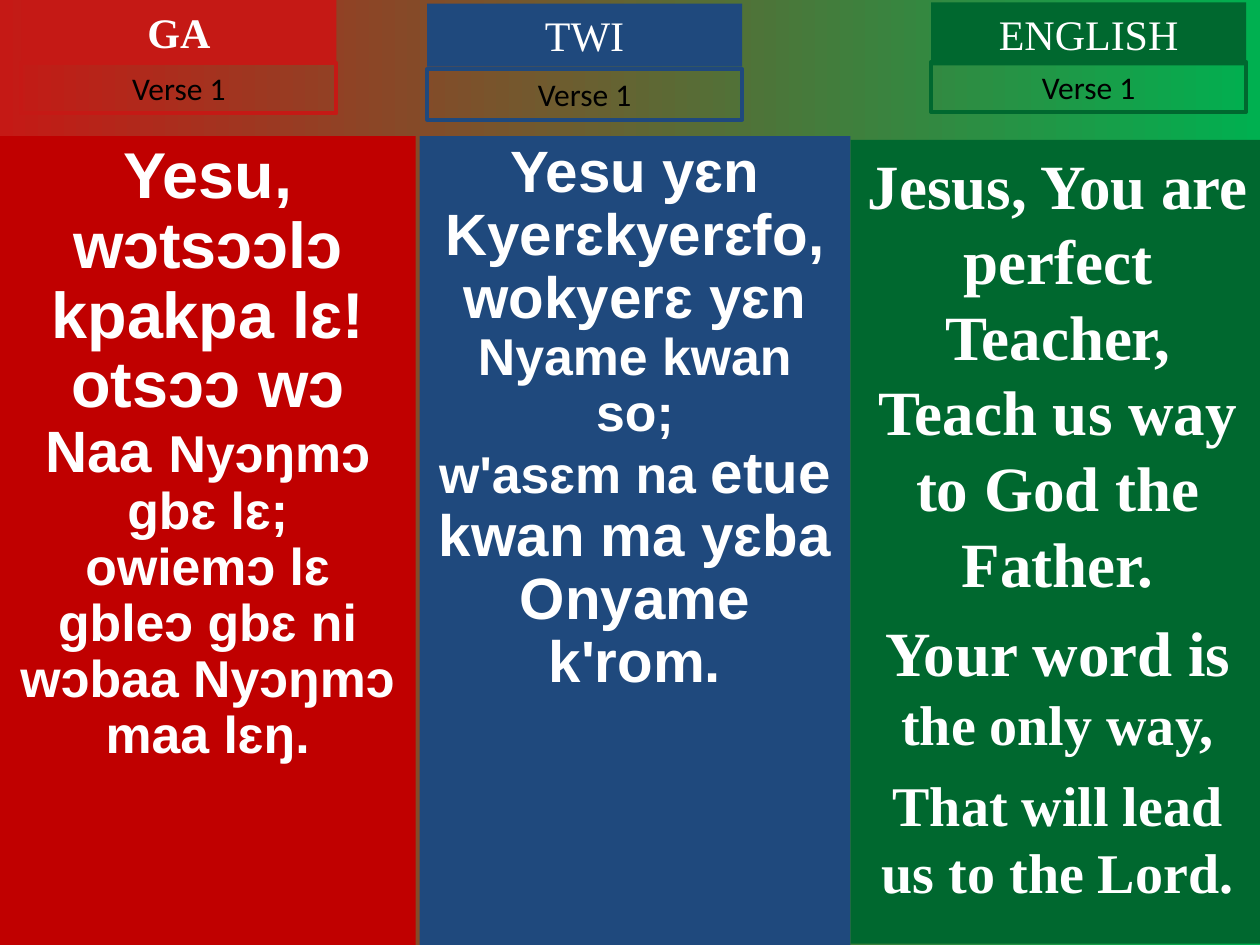
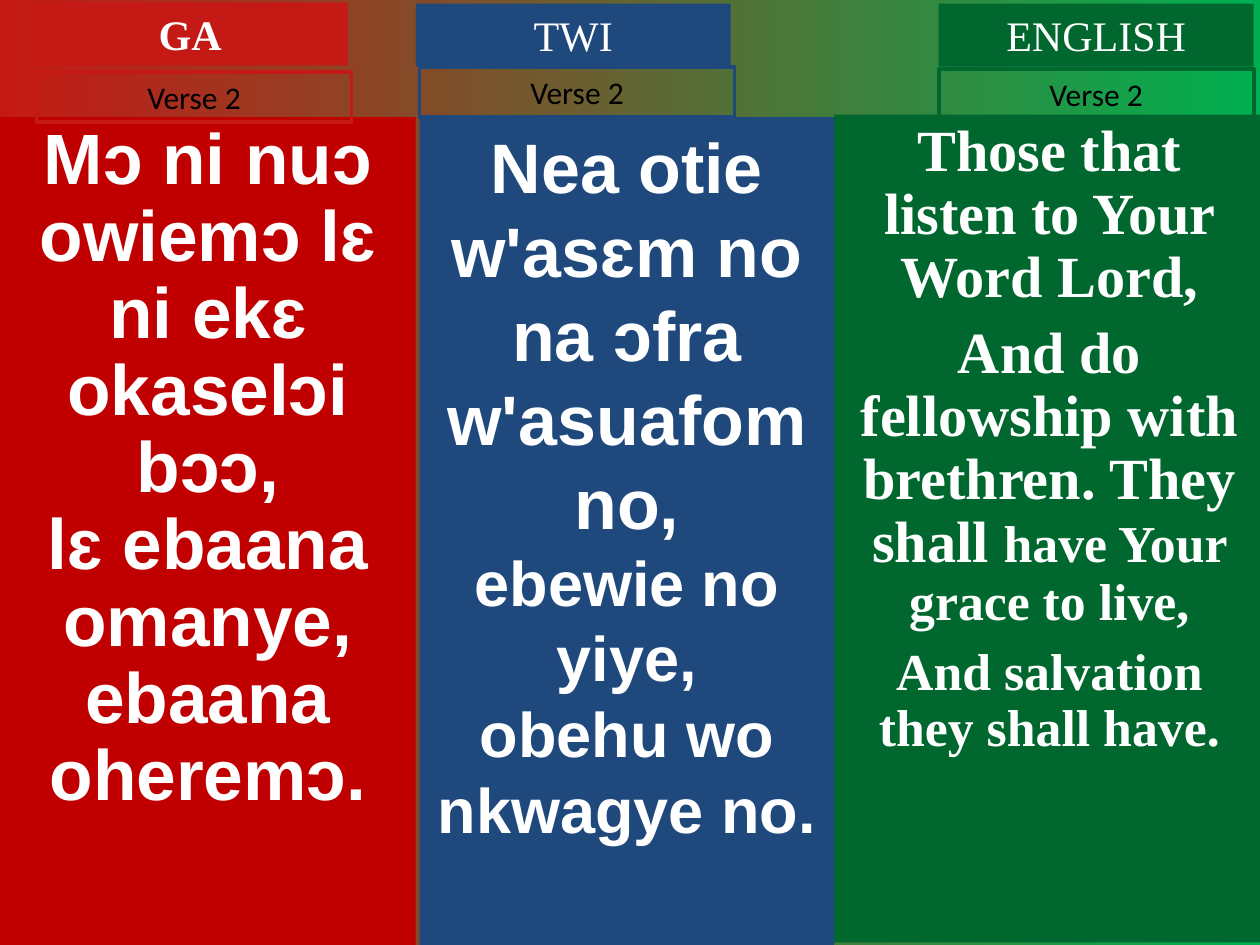
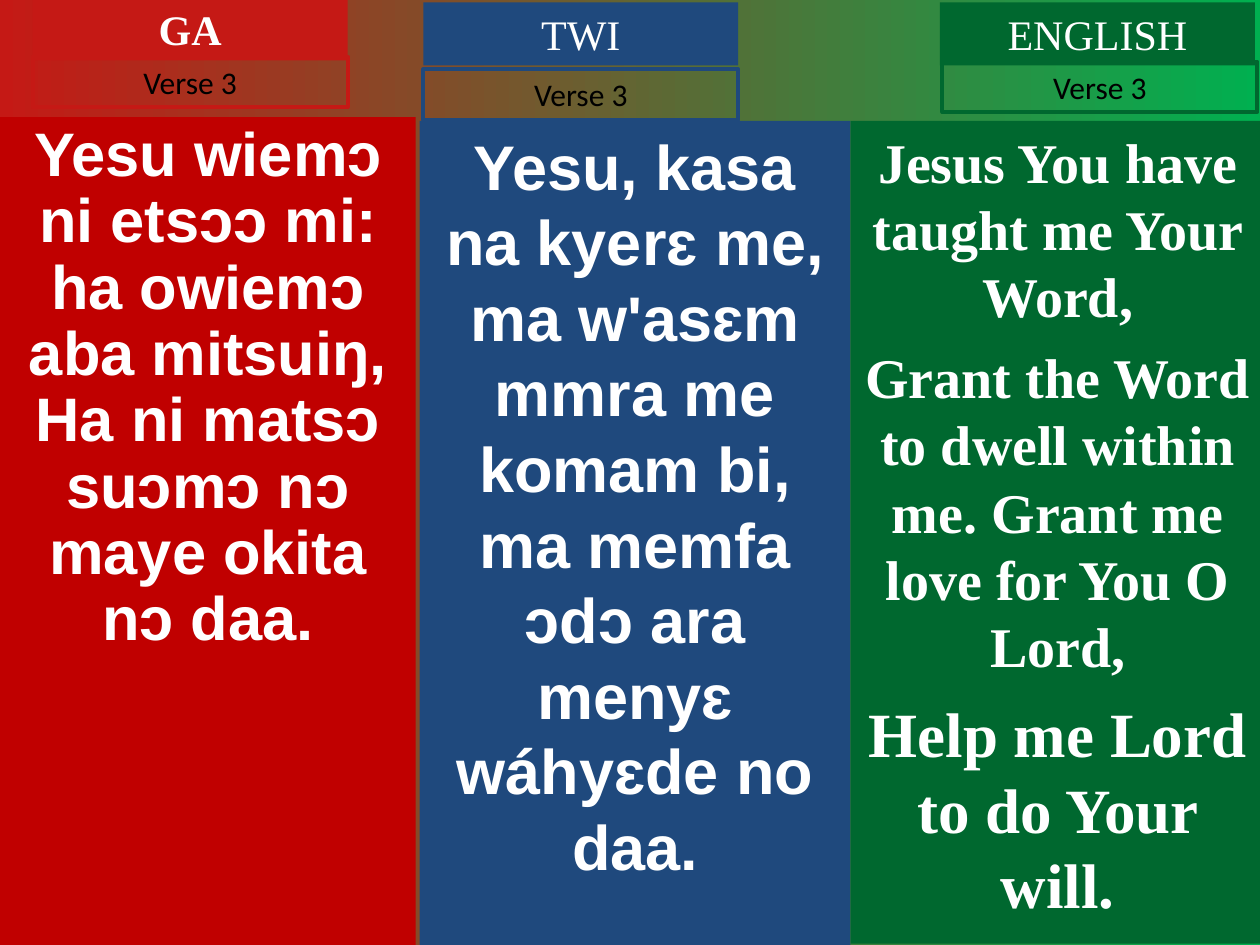
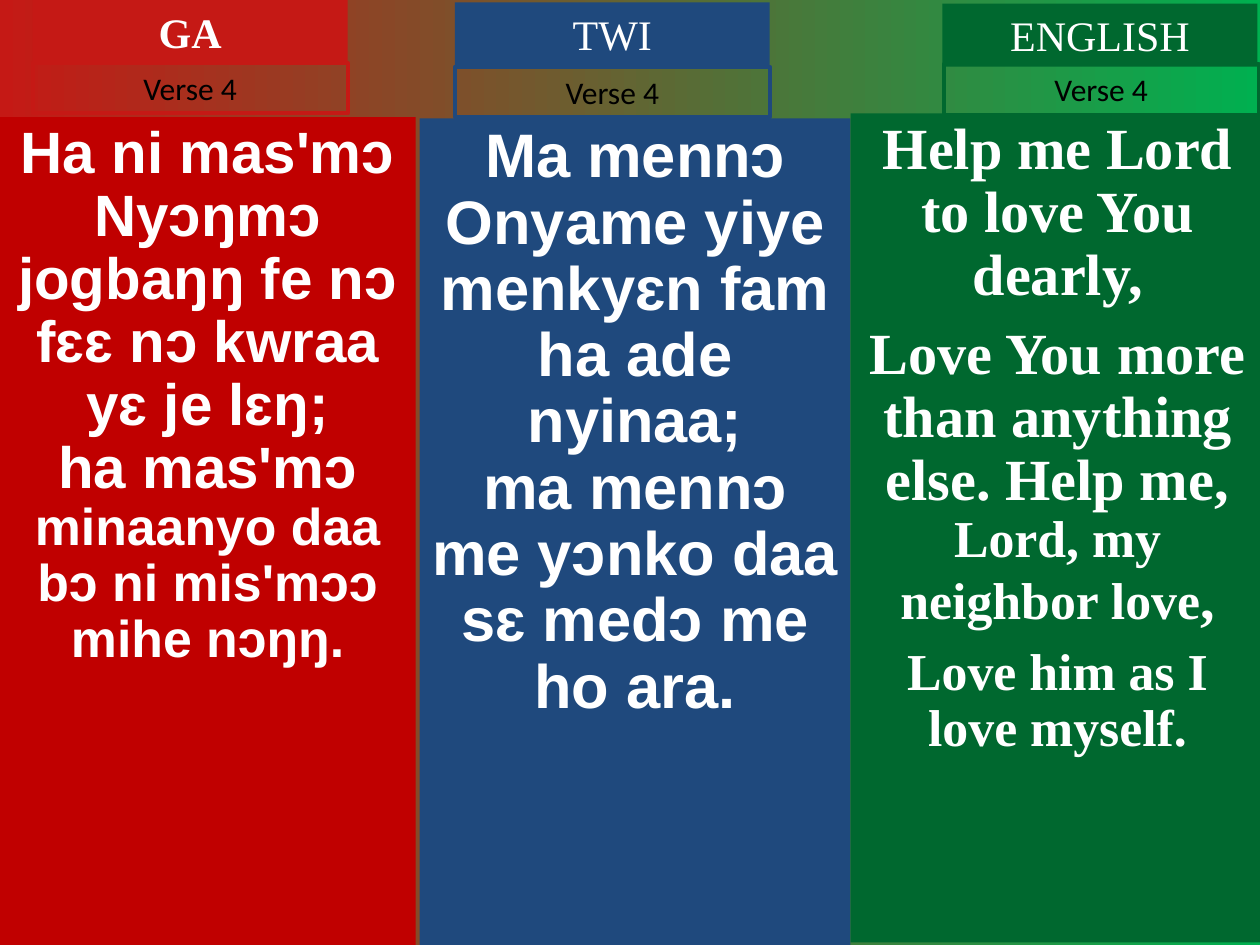
from pptx import Presentation
from pptx.dml.color import RGBColor
from pptx.enum.shapes import MSO_SHAPE
from pptx.enum.text import MSO_ANCHOR, MSO_AUTO_SIZE, PP_ALIGN
from pptx.util import Inches, Pt

RED = RGBColor(0xC5, 0x19, 0x15)
DARK_RED = RGBColor(0xC0, 0x00, 0x00)
BLUE = RGBColor(0x1F, 0x49, 0x7D)
GREEN = RGBColor(0x00, 0x68, 0x2F)
BRIGHT_GREEN = RGBColor(0x00, 0xB0, 0x50)
WHITE = RGBColor(0xFF, 0xFF, 0xFF)
BLACK = RGBColor(0x00, 0x00, 0x00)

HEADER_WIDTH, HEADER_HEIGHT, LABEL_HEIGHT = 2.5, 0.5, 0.4

# Language name, header colour, panel colour, lyric font, bold header
LANGUAGES = [
    ("GA", RED, DARK_RED, "Arial", True),
    ("TWI", BLUE, BLUE, "Arial", False),
    ("ENGLISH", GREEN, GREEN, "Times New Roman", False),
]

# One verse per slide, one entry per language:
# panel (left, top, width, height), header (left, top), label (left, top),
# line spacing, paragraphs as (space before, [(text, size), ...])
VERSES = [
    [
        ((0, 1.08, 3.3, 6.42), (0.17, 0), (0.17, 0.5), 0.9, [
            (0, [("Yesu, wɔtsɔɔlɔ kpakpa lɛ! otsɔɔ wɔ ", 37), ("Naa ", 33.3),
                 ("Nyɔŋmɔ gbɛ lɛ;", 29.6)]),
            (0, [("owiemɔ lɛ gbleɔ gbɛ ni wɔbaa Nyɔŋmɔ maa lɛŋ.", 29.6)]),
        ]),
        ((3.33, 1.08, 3.42, 6.42), (3.39, 0.03), (3.39, 0.55), 0.9, [
            (0, [("Yesu yɛn Kyerɛkyerɛfo,", 33.3)]),
            (0, [("wokyerɛ yɛn ", 33.3), ("Nyame kwan so;", 29.6)]),
            (0, [("w'asɛm na ", 29.6), ("etue kwan ma yɛba Onyame k'rom.", 33.3)]),
        ]),
        ((6.75, 1.11, 3.29, 6.38), (7.39, 0.02), (7.39, 0.49), 1.0, [
            (0, [("Jesus, You are perfect Teacher, Teach us way to God the Father.", 36)]),
            (8, [("Your word is ", 36), ("the only way,", 32)]),
            (8, [("That will lead us to the Lord.", 32)]),
        ]),
    ],
    [
        ((0, 0.93, 3.3, 6.57), (0.26, 0.02), (0.29, 0.57), 0.9, [
            (0, [("Mɔ ni nuɔ owiemɔ lɛ ni ekɛ okaselɔi bɔɔ,", 40.7)]),
            (0, [("lɛ ebaana omanye, ebaana oheremɔ.", 40.7)]),
        ]),
        ((3.33, 0.93, 3.29, 6.57), (3.3, 0.03), (3.33, 0.53), 1.0, [
            (0, [("Nea otie w'asɛm no na ɔfra w'asuafom no,", 40)]),
            (0, [("ebewie no yiye,", 36)]),
            (0, [("obehu wo nkwagye no.", 36)]),
        ]),
        ((6.62, 0.91, 3.42, 6.57), (7.45, 0.03), (7.45, 0.55), 0.9, [
            (0, [("Those that listen to Your Word Lord,", 33.3)]),
            (8, [("And do fellowship with brethren. They shall ", 33.3),
                 ("have Your grace to live,", 29.6)]),
            (8, [("And salvation they shall have.", 29.6)]),
        ]),
    ],
    [
        ((0, 0.93, 3.3, 6.57), (0.26, -0.02), (0.26, 0.45), 0.9, [
            (0, [("Yesu wiemɔ ni etsɔɔ mi: ha owiemɔ aba mitsuiŋ,", 35.1)]),
            (0, [("Ha ni matsɔ suɔmɔ nɔ maye okita nɔ daa.", 35.1)]),
        ]),
        ((3.33, 0.96, 3.42, 6.54), (3.36, 0.02), (3.36, 0.55), 1.0, [
            (0, [("Yesu, kasa na kyerɛ me,", 36)]),
            (0, [("ma w'asɛm mmra me komam bi,", 36)]),
            (0, [("ma memfa ɔdɔ ara menyɛ wáhyɛde no daa.", 36)]),
        ]),
        ((6.75, 0.96, 3.29, 6.53), (7.46, 0.02), (7.48, 0.49), 1.0, [
            (0, [("Jesus You have taught me Your Word,", 32)]),
            (8, [("Grant the Word to dwell within me. Grant me love for You O Lord,", 32)]),
            (9, [("Help me Lord to do Your will.", 36)]),
        ]),
    ],
    [
        ((0, 0.93, 3.3, 6.57), (0.26, 0), (0.26, 0.5), 0.9, [
            (0, [("Ha ni mas'mɔ Nyɔŋmɔ jogbaŋŋ fe nɔ fɛɛ nɔ kwraa yɛ je lɛŋ;", 33.3)]),
            (0, [("ha mas'mɔ ", 33.3), ("minaanyo daa bɔ ni mis'mɔɔ mihe nɔŋŋ.", 29.6)]),
        ]),
        ((3.33, 0.94, 3.42, 6.56), (3.61, 0.02), (3.61, 0.53), 0.9, [
            (0, [("Ma mennɔ Onyame yiye menkyɛn fam ha ade nyinaa;", 35.1)]),
            (0, [("ma mennɔ me yɔnko daa sɛ medɔ me ho ara.", 35.1)]),
        ]),
        ((6.75, 0.9, 3.29, 6.58), (7.48, 0.03), (7.49, 0.51), 0.9, [
            (0, [("Help me Lord to love You dearly,", 33.3)]),
            (9, [("Love You more than anything else. Help me, ", 33.3),
                 ("Lord, my neighbor love", 29.6), (",", 33.3)]),
            (8, [("Love him as I love myself.", 29.6)]),
        ]),
    ],
]


def add_box(page, place, fill=None, line=None, grow=True):
    """Add a plain rectangle with top-anchored, wrapping text."""
    box = page.shapes.add_shape(MSO_SHAPE.RECTANGLE, *map(Inches, place))
    box.shadow.inherit = False
    if fill is None:
        box.fill.background()
    else:
        box.fill.solid()
        box.fill.fore_color.rgb = fill
    if line is None:
        box.line.fill.background()
    else:
        box.line.color.rgb = line
        box.line.width = Pt(2.25)
    frame = box.text_frame
    frame.word_wrap = True
    frame.vertical_anchor = MSO_ANCHOR.TOP
    frame.auto_size = MSO_AUTO_SIZE.SHAPE_TO_FIT_TEXT if grow else MSO_AUTO_SIZE.NONE
    return box


def write(box, paragraphs, font, color=WHITE, bold=False, spacing=1.0):
    frame = box.text_frame
    for index, (gap, spans) in enumerate(paragraphs):
        para = frame.add_paragraph() if index else frame.paragraphs[0]
        para.alignment = PP_ALIGN.CENTER
        para.line_spacing = spacing
        para.space_before = Pt(gap)
        for text, size in spans:
            span = para.add_run()
            span.text = text
            span.font.name = font
            span.font.size = Pt(size)
            span.font.bold = bold
            span.font.color.rgb = color


deck = Presentation()
deck.slide_width, deck.slide_height = Inches(10), Inches(7.5)

for number, columns in enumerate(VERSES, start=1):
    page = deck.slides.add_slide(deck.slide_layouts[6])
    backdrop = page.background.fill
    backdrop.gradient()
    backdrop.gradient_angle = 0
    for stop, position, color in zip(backdrop.gradient_stops, (0, 1), (RED, BRIGHT_GREEN)):
        stop.position = position
        stop.color.rgb = color

    for language, column in zip(LANGUAGES, columns):
        name, header_color, panel_color, lyric_font, bold_header = language
        panel_place, header_at, label_at, spacing, lyrics = column

        panel = add_box(page, panel_place, fill=panel_color, grow=False)
        write(panel, lyrics, lyric_font, bold=True, spacing=spacing)

        header = add_box(page, (*header_at, HEADER_WIDTH, HEADER_HEIGHT), fill=header_color)
        write(header, [(0, [(name, 24)])], "Times New Roman", bold=bold_header)

        label = add_box(page, (*label_at, HEADER_WIDTH, LABEL_HEIGHT), line=header_color)
        write(label, [(0, [(f"Verse {number}", 18)])], "Calibri", color=BLACK)

deck.save("out.pptx")
